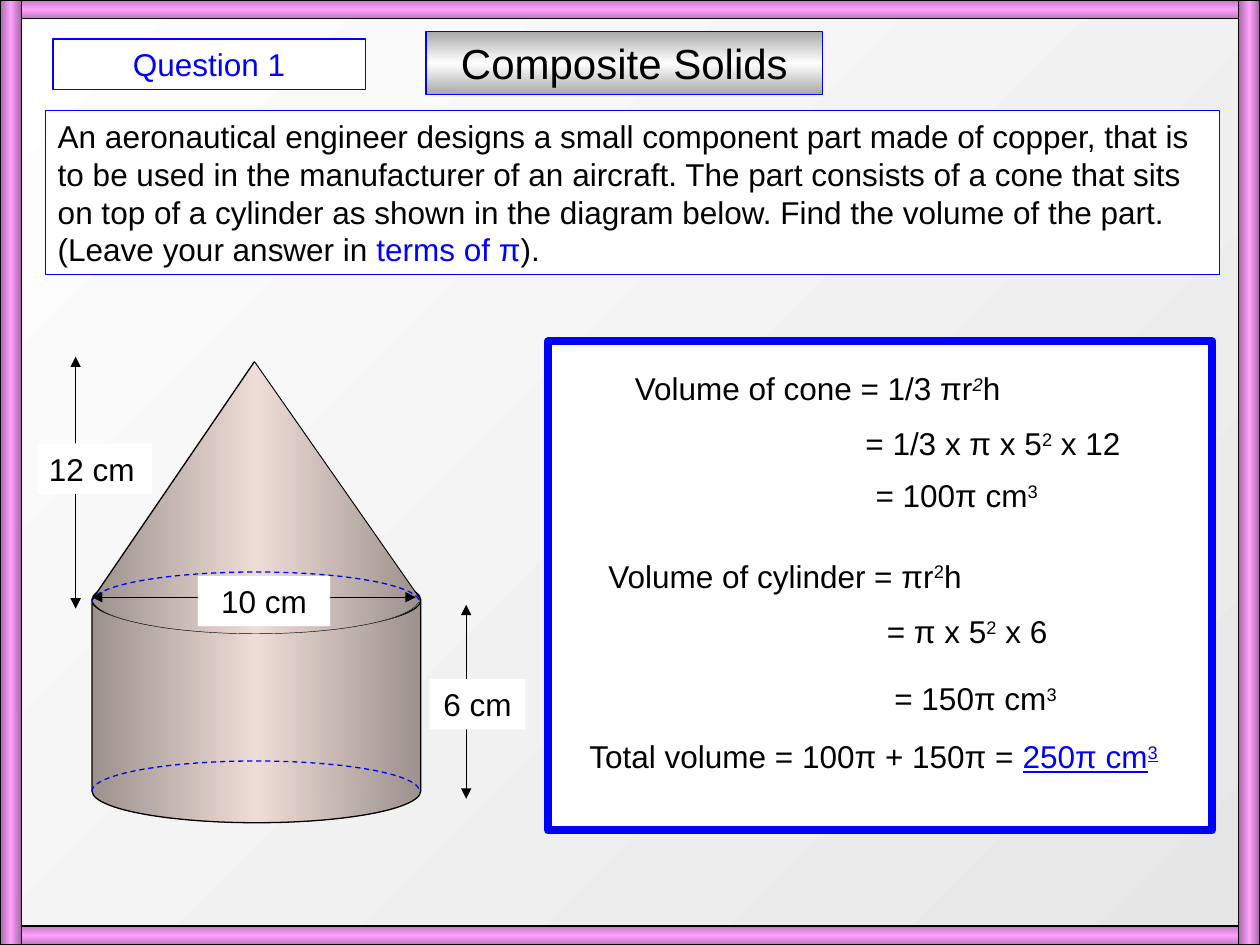
"""Build the Composite Solids question slide on a 100 by 75 grid."""
from copy import deepcopy
from math import cos, pi, sin

from lxml.etree import SubElement
from pptx import Presentation
from pptx.dml.color import RGBColor
from pptx.enum.dml import MSO_LINE
from pptx.enum.shapes import MSO_CONNECTOR, MSO_SHAPE
from pptx.enum.text import MSO_ANCHOR, PP_ALIGN
from pptx.oxml.ns import qn
from pptx.util import Inches, Pt

COLUMNS, ROWS = 100, 75
CELL = Inches(10) / COLUMNS
FONT = "Arial"
COLORS = {
    "black": "000000", "white": "FFFFFF", "blue": "0000FF", "pale": "E6E6E6",
    "copper": "9D918D", "copper light": "EEDCD6", "grey": "A8A8A8",
    "pink": "FEA0FE", "pink dark": "C079C0", "pink side": "A769A7",
}
COPPER = ("copper", "copper light", "copper")
BAR = ("pink dark", "pink", "pink dark")
SIDE = ("pink side", "pink", "pink side")

TITLE = ("Composite Solids", (33.8, 2.5, 31.5, 5))
HEADING = ("Question 1", (4.2, 3.1, 24.8, 4))
QUESTION_BOX = (3.6, 8.8, 93.2, 13)
QUESTION = [
    ("An aeronautical engineer designs a small component part made of copper, "
     "that is to be used in the manufacturer of an aircraft. The part consists "
     "of a cone that sits on top of a cylinder as shown in the diagram below. "
     "Find the volume of the part. (Leave your answer in ", ""),
    ("terms of π", "blue"),
    (").", ""),
]
ANSWER_BOX = (43.5, 27.1, 52.7, 38.8)
ANSWER_LINES = [
    (49.4, 28.8, [("Volume of cone = 1/3 πr", ""), ("2", "super italic"), ("h", "")]),
    (67.7, 33.2, [("= 1/3 x π x 5", ""), ("2", "super"), (" x 12", "")]),
    (68.5, 37.3, [("= 100π cm", ""), ("3", "super")]),
    (47.3, 43.7, [("Volume of cylinder = πr", ""), ("2", "super"), ("h", "")]),
    (69.4, 48.1, [("= π x 5", ""), ("2", "super"), (" x 6", "")]),
    (70, 53.4, [("= 150π cm", ""), ("3", "super")]),
    (45.8, 58, [("Total volume = 100π + 150π = ", ""),
                ("250π cm", "blue underline"), ("3", "blue underline super")]),
]
DIMENSIONS = [
    ("10 cm", (15.7, 45.7, 10.5, 4), (7.3, 47.4, 33, 47.4), 0.75),
    ("6 cm", (34.1, 53.9, 7.6, 4), (37, 48, 37, 63.4), 0.75),
    ("12 cm", (2.9, 35.2, 9.2, 4), (6, 28.3, 6, 48.3), 1),
]
CENTRE, RADIUS = 20.3, 13
CAN = (7.3, 45.1, 26.1, 20.2)
APEX = (20.2, 28.7)
CONE_BASE = [(7.3, 47.6), (33.4, 47.6)]
ARCS = [
    (47.5, 2.8, "black", 0.25, None),
    (47.8, -2.4, "blue", 0.75, MSO_LINE.DASH),
    (62.8, -2.4, "blue", 0.75, MSO_LINE.DASH),
]
FRAME = [
    ((0, 0, COLUMNS, 1.5), BAR, 90),
    ((0, ROWS - 1.5, COLUMNS, 1.5), BAR, 90),
    ((0, 0, 1.7, ROWS), SIDE, 0),
    ((COLUMNS - 1.7, 0, 1.7, ROWS), SIDE, 0),
]


def rgb(name):
    return RGBColor.from_string(COLORS[name])


def place(lengths):
    return [round(length * CELL) for length in lengths]


def paint_gradient(fill, element, names, angle):
    fill.gradient()
    fill.gradient_angle = angle
    stops = element.xpath(".//a:gsLst")[0]
    for _ in names[2:]:
        stops.insert(1, deepcopy(stops[0]))
    for index, (stop, name) in enumerate(zip(fill.gradient_stops, names)):
        stop.position = index / (len(names) - 1)
        stop.color.rgb = rgb(name)


def style(shape, fill="white", line=None, width=0.75, angle=0):
    shape.shadow.inherit = False
    if isinstance(fill, tuple):
        paint_gradient(shape.fill, shape._element, fill, angle)
    else:
        shape.fill.solid()
        shape.fill.fore_color.rgb = rgb(fill)
    if line:
        shape.line.color.rgb = rgb(line)
        shape.line.width = Pt(width)
    else:
        shape.line.fill.background()
    return shape


def add_box(slide, box, kind=MSO_SHAPE.RECTANGLE, **look):
    return style(slide.shapes.add_shape(kind, *place(box)), **look)


def write(shape, runs, align=PP_ALIGN.LEFT, size=18):
    frame = shape.text_frame
    frame.word_wrap = True
    frame.vertical_anchor = MSO_ANCHOR.TOP
    paragraph = frame.paragraphs[0]
    paragraph.alignment = align
    for text, look in runs:
        run = paragraph.add_run()
        run.text = text
        font = run.font
        font.name, font.size = FONT, Pt(size)
        font.color.rgb = rgb("blue" if "blue" in look else "black")
        if "italic" in look:
            font.italic = True
        if "underline" in look:
            font.underline = True
        if "super" in look:
            font._element.set("baseline", "30000")


def add_line(slide, ends, width, arrows=False):
    line = slide.shapes.add_connector(MSO_CONNECTOR.STRAIGHT, *place(ends))
    line.line.color.rgb = rgb("black")
    line.line.width = Pt(width)
    if arrows:
        outline = line.line._get_or_add_ln()
        for end in ("a:headEnd", "a:tailEnd"):
            SubElement(outline, qn(end), type="triangle")
    SubElement(line._element.spPr, qn("a:effectLst"))


def add_outline(slide, points, close, **look):
    start, *others = [place(point) for point in points]
    builder = slide.shapes.build_freeform(*start)
    builder.add_line_segments(others, close=close)
    return style(builder.convert_to_shape(), fill=COPPER, **look)


def draw_solid(slide):
    add_box(slide, CAN, MSO_SHAPE.CAN, fill=COPPER, line="black")
    add_outline(slide, [CONE_BASE[0], CONE_BASE[1], APEX], True)
    for middle, height, color, width, dash in ARCS:
        angles = [pi * step / 40 for step in range(41)]
        points = [(CENTRE - RADIUS * cos(angle), middle + height * sin(angle))
                  for angle in angles]
        arc = add_outline(slide, points, False, line=color, width=width)
        if dash:
            arc.line.dash_style = dash
    for corner, width in zip(CONE_BASE, (0.75, 0.5)):
        add_line(slide, (*corner, *APEX), width)


def main():
    presentation = Presentation()
    presentation.slide_width = round(COLUMNS * CELL)
    presentation.slide_height = round(ROWS * CELL)
    slide = presentation.slides.add_slide(presentation.slide_layouts[6])
    paint_gradient(slide.background.fill, slide._element, ("pale", "white"), 135)

    add_box(slide, ANSWER_BOX, line="blue", width=4.5)
    draw_solid(slide)
    text, box = TITLE
    title = add_box(slide, box, fill=("grey", "white", "grey"), line="blue", angle=90)
    write(title, [(text, "")], PP_ALIGN.CENTER, 24)
    for box, fill, angle in FRAME:
        add_box(slide, box, fill=fill, line="black", angle=angle)
    write(add_box(slide, QUESTION_BOX, line="blue"), QUESTION)
    text, box = HEADING
    write(add_box(slide, box, line="blue"), [(text, "blue")], PP_ALIGN.CENTER)
    for left, top, runs in ANSWER_LINES:
        box = (left, top, 95.7 - left, 4)
        write(slide.shapes.add_textbox(*place(box)), runs)
    for text, box, ends, width in DIMENSIONS:
        add_line(slide, ends, width, arrows=True)
        align = PP_ALIGN.LEFT if text == "12 cm" else PP_ALIGN.CENTER
        write(add_box(slide, box), [(text, "")], align)
    presentation.save("out.pptx")


if __name__ == "__main__":
    main()
